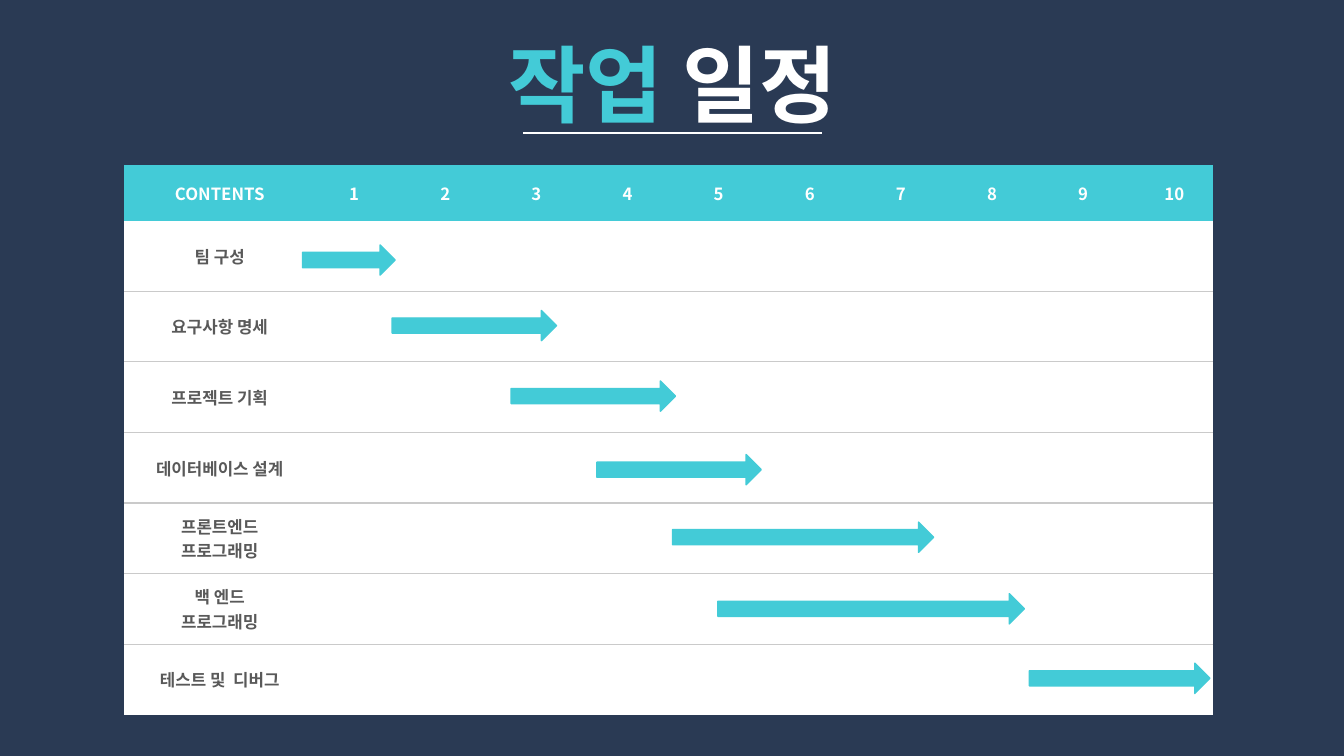
from lxml.etree import SubElement
from pptx import Presentation
from pptx.dml.color import RGBColor
from pptx.enum.shapes import MSO_CONNECTOR as Connector, MSO_SHAPE as Shape
from pptx.enum.text import MSO_ANCHOR as Anchor, MSO_AUTO_SIZE as AutoSize, PP_ALIGN as Align
from pptx.oxml import parse_xml
from pptx.oxml.ns import nsdecls, qn
from pptx.util import Inches, Pt

NAVY = RGBColor(0x2A, 0x3A, 0x54)
TEAL = RGBColor(0x43, 0xCB, 0xD7)
WHITE = RGBColor(0xFF, 0xFF, 0xFF)
GRAY = RGBColor(0x59, 0x59, 0x59)
RULE = RGBColor(0xCA, 0xCA, 0xCA)

PLAIN_TABLE = "{2D5ABB26-0587-4C30-8999-92F81FD0307C}"
WEEKS = 10
ARROW_HEIGHT = 0.3
TASKS = [
    ("팀 구성", 3, 2.43, 0.92),
    ("요구사항 명세", 3.89, 3.08, 1.63),
    ("프로젝트 기획", 5.07, 3.78, 1.63),
    ("데이터베이스 설계", 5.92, 4.51, 1.63),
    ("프론트엔드\n프로그래밍", 6.67, 5.18, 2.59),
    ("백 엔드\n프로그래밍", 7.12, 5.89, 3.04),
    ("테스트 및  디버그", 10.21, 6.58, 1.79),
]


class ScheduleSlide:
    """Draws the elements of a schedule in one shared style."""

    font = "Noto Sans CJK KR"

    def __init__(self, prs):
        self.s = prs.slides.add_slide(prs.slide_layouts[5])
        fill = self.s.background.fill
        fill.solid()
        fill.fore_color.rgb = NAVY

    def style(self, r, size, color):
        r.font.size = Pt(size)
        r.font.bold = True
        r.font.color.rgb = color
        r.font.name = self.font
        SubElement(r.font._element, qn("a:ea"), typeface=self.font)

    def title(self, parts, left, top, width, height):
        sp = self.s.shapes.title
        sp.left, sp.top = Inches(left), Inches(top)
        sp.width, sp.height = Inches(width), Inches(height)
        tf = sp.text_frame
        tf.word_wrap = True
        tf.auto_size = AutoSize.SHAPE_TO_FIT_TEXT
        tf.vertical_anchor = Anchor.TOP
        p = tf.paragraphs[0]
        p.alignment = Align.CENTER
        for text, color in parts:
            r = p.add_run()
            r.text = text
            self.style(r, 60, color)

    def line(self, left, right, y):
        cx = self.s.shapes.add_connector(
            Connector.STRAIGHT, Inches(left), Inches(y), Inches(right), Inches(y))
        cx.line.color.rgb = WHITE
        cx.line.width = Pt(1.5)
        SubElement(cx._element.spPr, qn("a:effectLst"))

    def cell(self, cell, text, fill, color):
        cell.fill.solid()
        cell.fill.fore_color.rgb = fill
        cell.vertical_anchor = Anchor.MIDDLE
        cell.margin_left = Inches(0.24)
        cell.text_frame.text = text
        for p in cell.text_frame.paragraphs:
            p.alignment = Align.CENTER
            for r in p.runs:
                self.style(r, 12, color)

    def border(self, cell, side):
        cell._tc.get_or_add_tcPr().insert(0, parse_xml(
            f'<a:{side} {nsdecls("a")} w="{Pt(1)}"><a:solidFill>'
            f'<a:srgbClr val="{RULE}"/></a:solidFill></a:{side}>'))

    def table(self, header, labels, left, top, widths, heights):
        table = self.s.shapes.add_table(
            len(heights), len(widths), Inches(left), Inches(top),
            Inches(sum(widths)), Inches(sum(heights))).table
        table.horz_banding = False
        table._tbl.tblPr.find(qn("a:tableStyleId")).text = PLAIN_TABLE
        for column, width in zip(table.columns, widths):
            column.width = Inches(width)
        for row, height in zip(table.rows, heights):
            row.height = Inches(height)
        for i, text in enumerate(header):
            self.cell(table.cell(0, i), text, TEAL, WHITE)
        for j, label in enumerate(labels, 1):
            for i in range(len(widths)):
                cell = table.cell(j, i)
                self.cell(cell, "" if i else label, WHITE, GRAY)
                if j < len(labels):
                    self.border(cell, "lnB")
                if j > 1:
                    self.border(cell, "lnT")

    def arrow(self, left, top, width):
        sp = self.s.shapes.add_shape(
            Shape.RIGHT_ARROW, Inches(left), Inches(top), Inches(width), Inches(ARROW_HEIGHT))
        sp.shadow.inherit = False
        sp.fill.solid()
        sp.fill.fore_color.rgb = TEAL
        sp.line.color.rgb = TEAL
        sp.line.width = Pt(1)


def main():
    prs = Presentation()
    prs.slide_width, prs.slide_height = Inches(13.33), Inches(7.5)
    schedule = ScheduleSlide(prs)
    schedule.title([("작업 ", TEAL), ("일정", WHITE)], 3.95, 0.27, 5.44, 1.09)
    schedule.line(5.19, 8.15, 1.32)
    header = ["CONTENTS"] + [str(week) for week in range(1, WEEKS + 1)]
    labels = [task[0] for task in TASKS]
    schedule.table(header, labels, 1.23, 1.64,
                   [1.76] + [0.904] * WEEKS, [0.55] + [0.70] * len(TASKS))
    for _, left, top, width in TASKS:
        schedule.arrow(left, top, width)
    prs.save("out.pptx")


if __name__ == "__main__":
    main()
